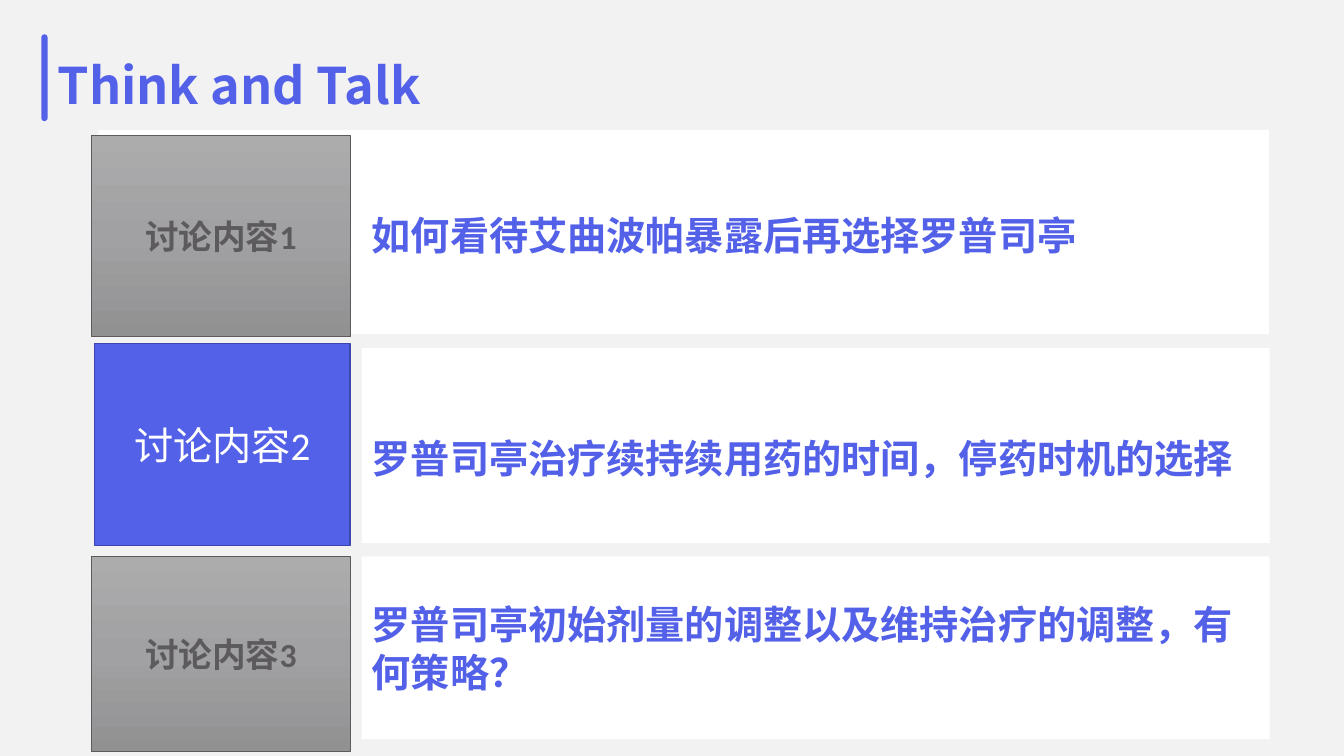
from copy import deepcopy

from pptx import Presentation
from pptx.dml.color import RGBColor
from pptx.enum.shapes import MSO_SHAPE
from pptx.enum.text import MSO_ANCHOR, PP_ALIGN
from pptx.oxml.ns import qn
from pptx.util import Pt

BLUE, WHITE, GRAY = "5360E8", "FFFFFF", "5C5A5D"
CJK = "Noto Sans CJK SC"
GRAY_STOPS = ((0, "ADACAD"), (0.5, "A1A0A2"), (1, "929192"))
CARD_LEFT = 258.5

# label box, card box, question box, question, line spacing, highlighted
TOPICS = [
    ((65.5, 96.5, 184.5, 144), (70.5, 93, 836, 145.5), (CARD_LEFT, 130.5, 651.5, 58.5),
     "如何看待艾曲波帕暴露后再选择罗普司亭", 1.5, False),
    ((67.5, 245.5, 182.5, 144), (CARD_LEFT, 248.5, 648.5, 139.5), None,
     "罗普司亭治疗续持续用药的时间，停药时机的选择", 1.5, True),
    ((65.5, 397.5, 184.5, 139), (CARD_LEFT, 397.5, 648.5, 130.5), None,
     "罗普司亭初始剂量的调整以及维持治疗的调整，有何策略？", 1, False),
]


def color(value):
    return RGBColor.from_string(value)


def write(sp, text, size, hue, bold=True, latin=CJK, align=PP_ALIGN.LEFT,
          anchor=MSO_ANCHOR.MIDDLE, spacing=1):
    tf = sp.text_frame
    tf.word_wrap = True
    tf.vertical_anchor = anchor
    p = tf.paragraphs[0]
    p.text = text
    p.alignment = align
    p.line_spacing = spacing
    font = p.font
    font.name, font.size, font.bold = latin, Pt(size), bold
    font.color.rgb = color(hue)
    ea = p._p.pPr.find(qn("a:defRPr")).makeelement(qn("a:ea"), {"typeface": CJK})
    p._p.pPr.find(qn("a:defRPr")).find(qn("a:latin")).addnext(ea)


def add_block(slide, box, fill, kind=MSO_SHAPE.RECTANGLE):
    sp = slide.shapes.add_shape(kind, *map(Pt, box))
    sp.shadow.inherit = False
    sp.fill.solid()
    sp.fill.fore_color.rgb = color(fill)
    sp.line.fill.background()
    return sp


def shade_gray(sp):
    """Fill the shape with a three-stop gradient, light at the top."""
    sp.fill.gradient()
    sp.fill.gradient_angle = 270
    first = sp._element.find(".//" + qn("a:gs"))
    first.addnext(deepcopy(first))
    for stop, (position, value) in zip(sp.fill.gradient_stops, GRAY_STOPS):
        stop.position = position
        stop.color.rgb = color(value)


def add_label(slide, box, text, highlighted):
    sp = add_block(slide, box, BLUE)
    if not highlighted:
        shade_gray(sp)
    sp.line.color.rgb = color("3D47AC" if highlighted else GRAY)
    sp.line.width = Pt(1 if highlighted else 0.5)
    write(sp, text, 28 if highlighted else 24, WHITE if highlighted else GRAY,
          bold=not highlighted, latin="Calibri", align=PP_ALIGN.CENTER)


def add_topic(slide, number, label_box, card_box, question_box, question, spacing, highlighted):
    card = add_block(slide, card_box, WHITE)
    if question_box:
        sp = slide.shapes.add_textbox(*map(Pt, question_box))
        write(sp, question, 28, BLUE, anchor=MSO_ANCHOR.TOP, spacing=spacing)
    else:
        write(card, question, 28, BLUE, spacing=spacing)
    add_label(slide, label_box, f"讨论内容{number}", highlighted)


def add_heading(slide, left, top, width, height):
    bar = add_block(slide, (left, top, 4.5, 62), BLUE, MSO_SHAPE.ROUNDED_RECTANGLE)
    bar.adjustments[0] = 0.5
    title = slide.shapes.title
    title.left, title.top = Pt(left + 4.5), Pt(top + 10.5)
    title.width, title.height = Pt(width), Pt(height)
    write(title, "Think and Talk", 36, BLUE, anchor=MSO_ANCHOR.TOP)


def main():
    prs = Presentation()
    prs.slide_width, prs.slide_height = Pt(960), Pt(540)
    slide = prs.slides.add_slide(prs.slide_layouts[5])
    slide.background.fill.solid()
    slide.background.fill.fore_color.rgb = color("F2F2F2")
    add_heading(slide, 29.5, 24.5, 288, 51)
    for number, topic in enumerate(TOPICS, 1):
        add_topic(slide, number, *topic)
    prs.save("out.pptx")


if __name__ == "__main__":
    main()
